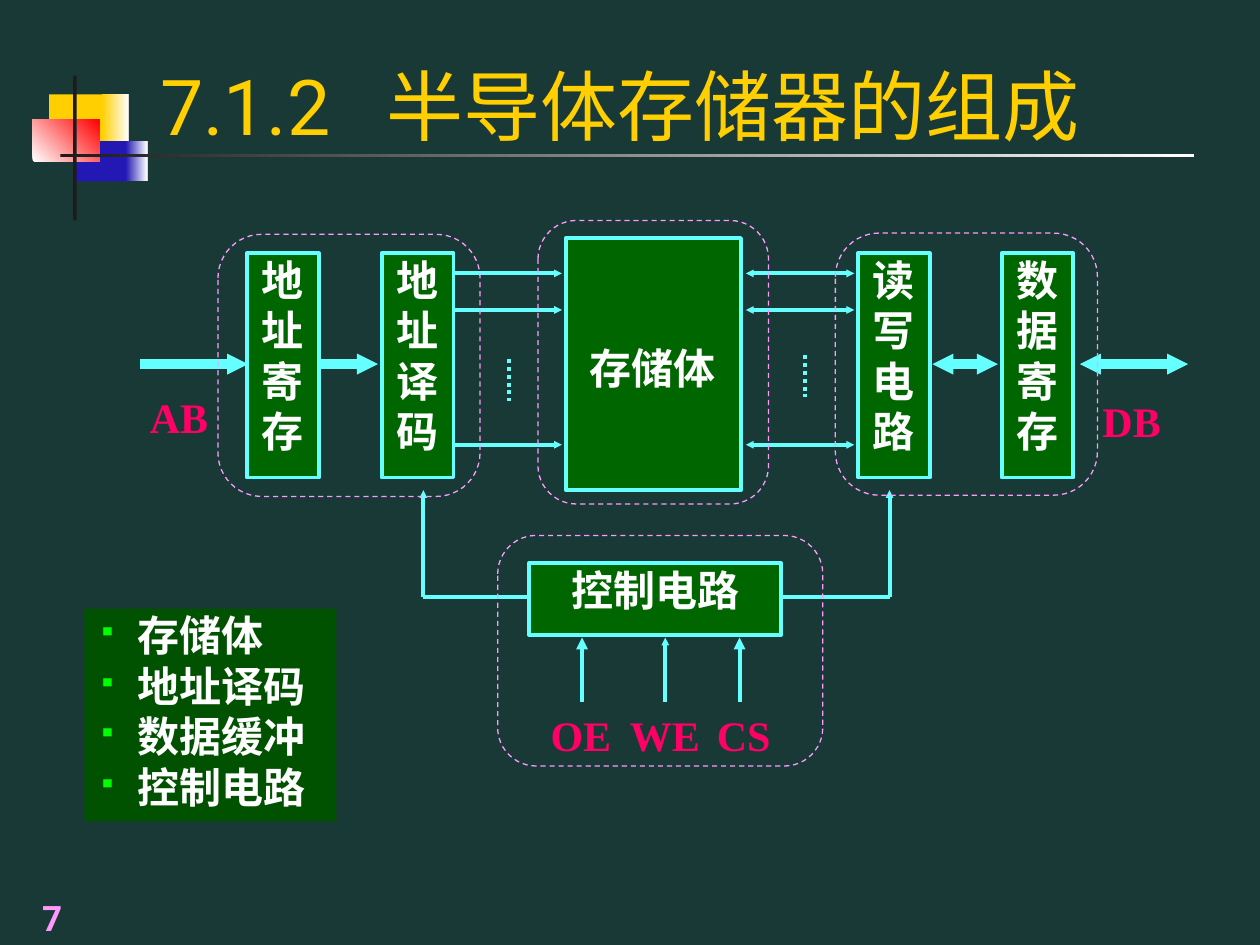
from dataclasses import dataclass

from pptx import Presentation
from pptx.dml.color import RGBColor
from pptx.enum.dml import MSO_LINE_DASH_STYLE as Dash
from pptx.enum.shapes import MSO_CONNECTOR as Connector, MSO_SHAPE as Shape
from pptx.enum.text import MSO_ANCHOR as Anchor, MSO_AUTO_SIZE as AutoSize, PP_ALIGN as Align
from pptx.oxml.ns import qn
from pptx.util import Inches, Pt
from lxml.etree import SubElement


@dataclass(frozen=True)
class Theme:
    background: str = "193936"
    gold: str = "FFCF01"
    blue: str = "2318B4"
    red: str = "FF0000"
    black: str = "1C1C1C"
    white: str = "FFFFFF"
    box: str = "006600"
    panel: str = "005200"
    cyan: str = "66FFFF"
    pink: str = "FF99FF"
    signal: str = "FF0066"
    bullet: str = "00FF00"
    title_font: str = "Roboto"
    body_font: str = "Times New Roman"
    title_size: int = 44
    body_size: int = 24
    number_size: int = 20
    thin: float = 0.75
    wire: float = 2.25
    bus: float = 6


THEME = Theme()


def color(value):
    return RGBColor.from_string(value)


def add_bullet(paragraph):
    properties = paragraph._p.get_or_add_pPr()
    properties.set("marL", str(Inches(0.41)))
    properties.set("indent", str(Inches(-0.31)))
    bullet_color = SubElement(properties, qn("a:buClr"))
    SubElement(bullet_color, qn("a:srgbClr"), val=THEME.bullet)
    SubElement(properties, qn("a:buSzPct"), val="60000")
    SubElement(properties, qn("a:buChar"), char="▪")


def write(shape, text, size=THEME.body_size, font=THEME.body_font, fill=THEME.white,
          bold=True, align=Align.CENTER, anchor=Anchor.TOP, margins=(0.01, 0.01), bullets=False):
    frame = shape.text_frame
    frame.word_wrap = True
    frame.auto_size = AutoSize.NONE
    frame.vertical_anchor = anchor
    frame.margin_left = frame.margin_right = Inches(margins[0])
    frame.margin_top = frame.margin_bottom = Inches(margins[1])
    for index, line in enumerate(text.split("\n")):
        paragraph = frame.add_paragraph() if index else frame.paragraphs[0]
        paragraph.alignment = align
        if bullets:
            add_bullet(paragraph)
        run = paragraph.add_run()
        run.text = line
        run.font.size = Pt(size)
        run.font.name = font
        run.font.bold = bold
        run.font.color.rgb = color(fill)


def add_box(slide, bounds, fill=None, line=None, kind=Shape.RECTANGLE, width=THEME.wire):
    shape = slide.shapes.add_shape(kind, *map(Inches, bounds))
    shape.shadow.inherit = False
    if fill:
        shape.fill.solid()
        shape.fill.fore_color.rgb = color(fill)
    else:
        shape.fill.background()
    if line:
        shape.line.color.rgb = color(line)
        shape.line.width = Pt(width)
    else:
        shape.line.fill.background()
    return shape


def add_gradient(slide, bounds, start, end, angle=0):
    fill = add_box(slide, bounds).fill
    fill.gradient()
    fill.gradient_angle = angle
    for stop, value in zip(fill.gradient_stops, (start, end)):
        stop.color.rgb = color(value)


def add_group_outline(slide, bounds):
    outline = add_box(slide, bounds, line=THEME.pink, kind=Shape.ROUNDED_RECTANGLE, width=THEME.thin)
    outline.line.dash_style = Dash.DASH


def add_label(slide, text, bounds, **text_format):
    write(slide.shapes.add_textbox(*map(Inches, bounds)), text, **text_format)


def add_line(slide, start, end, head=False, tail=False, width=THEME.wire, dash=None, arrow="sm"):
    connector = slide.shapes.add_connector(Connector.STRAIGHT, *map(Inches, start + end))
    connector.line.color.rgb = color(THEME.cyan)
    connector.line.width = Pt(width)
    if dash:
        connector.line.dash_style = dash
    outline = connector.line._get_or_add_ln()
    for tag, present in (("a:headEnd", head), ("a:tailEnd", tail)):
        if present:
            SubElement(outline, qn(tag), type="triangle", w=arrow, len=arrow)
    SubElement(connector._element.spPr, qn("a:effectLst"))


def draw_ornament(slide):
    add_box(slide, (0.39, 0.75, 0.46, 0.37), THEME.gold)
    add_gradient(slide, (0.81, 0.75, 0.21, 0.37), THEME.gold, THEME.white)
    add_box(slide, (0.59, 1.12, 0.41, 0.32), THEME.blue)
    add_gradient(slide, (1, 1.12, 0.17, 0.32), THEME.blue, THEME.white)
    add_gradient(slide, (0.26, 0.95, 0.53, 0.33), THEME.white, THEME.red, angle=45)
    add_box(slide, (0.58, 0.6, 0.03, 1.15), THEME.black)
    add_gradient(slide, (0.48, 1.22, 9, 0.03), THEME.black, THEME.white)


def draw_title(slide):
    title = slide.shapes.title
    title.left, title.top, title.width, title.height = map(Inches, (1.17, 0.33, 8.52, 0.92))
    write(title, "7.1.2\t半导体存储器的组成", size=THEME.title_size, font=THEME.title_font,
          fill=THEME.gold, bold=False, align=Align.LEFT, anchor=Anchor.BOTTOM, margins=(0.1, 0.05))
    properties = title.text_frame.paragraphs[0]._p.get_or_add_pPr()
    tabs = SubElement(properties, qn("a:tabLst"))
    SubElement(tabs, qn("a:tab"), pos=str(Inches(1.8)), algn="l")


def draw_blocks(slide):
    add_box(slide, (4.49, 1.89, 1.39, 2), THEME.box, THEME.cyan)
    add_label(slide, "存储体", (4.25, 2.71, 1.86, 0.89))
    for left, name in ((1.96, "地址寄存"), (3.03, "地址译码"), (6.81, "读写电路"), (7.95, "数据寄存")):
        write(add_box(slide, (left, 2.01, 0.57, 1.78), THEME.box, THEME.cyan), "\n".join(name))
    write(add_box(slide, (4.2, 4.47, 2, 0.57), THEME.box, THEME.cyan), "控制电路")


def draw_wires(slide):
    for y in (2.17, 2.46, 3.53):
        add_line(slide, (3.6, y), (4.46, y), tail=True)
        add_line(slide, (5.92, y), (6.78, y), head=True, tail=True)
    for x, top in ((4.04, 2.85), (6.39, 2.82)):
        add_line(slide, (x, top), (x, top + 0.33), dash=Dash.ROUND_DOT)
    for left, right, two_way in ((1.11, 1.97, False), (2.53, 3, False), (7.4, 7.92, True), (8.57, 9.43, True)):
        add_line(slide, (left, 2.89), (right, 2.89), head=two_way, tail=True, width=THEME.bus)
    for x, box_edge in ((3.36, 4.21), (7.06, 6.21)):
        add_line(slide, (x, 4.74), (box_edge, 4.74))
        add_line(slide, (x, 3.89), (x, 4.74), head=True)


def draw_signals(slide):
    signals = (("AB", 1.18, 3.1), ("DB", 8.74, 3.13), ("OE", 4.36, 5.62), ("WE", 4.99, 5.62), ("CS", 5.68, 5.62))
    for name, left, top in signals:
        add_label(slide, name, (left, top, 0.74, 0.63), fill=THEME.signal, align=Align.JUSTIFY)
    for x, arrow in ((4.62, "med"), (5.28, "sm"), (5.87, "med")):
        add_line(slide, (x, 5.06), (x, 5.57), head=True, arrow=arrow)


def main():
    presentation = Presentation()
    presentation.slide_width, presentation.slide_height = Inches(10), Inches(7.5)
    slide = presentation.slides.add_slide(presentation.slide_layouts[5])
    slide.background.fill.solid()
    slide.background.fill.fore_color.rgb = color(THEME.background)
    draw_ornament(slide)
    add_label(slide, "7", (0, 7, 0.83, 0.5), size=THEME.number_size, font=THEME.title_font,
              fill=THEME.pink, anchor=Anchor.BOTTOM, margins=(0.1, 0.05))
    draw_title(slide)
    draw_blocks(slide)
    draw_wires(slide)
    draw_signals(slide)
    for bounds in ((6.63, 1.85, 2.08, 2.08), (1.73, 1.86, 2.08, 2.08),
                   (3.95, 4.25, 2.58, 1.83), (4.27, 1.75, 1.83, 2.25)):
        add_group_outline(slide, bounds)
    panel = add_box(slide, (0.67, 4.83, 2, 1.69), THEME.panel)
    write(panel, "存储体\n地址译码\n数据缓冲\n控制电路", align=Align.LEFT, bullets=True)
    presentation.save("out.pptx")


if __name__ == "__main__":
    main()
